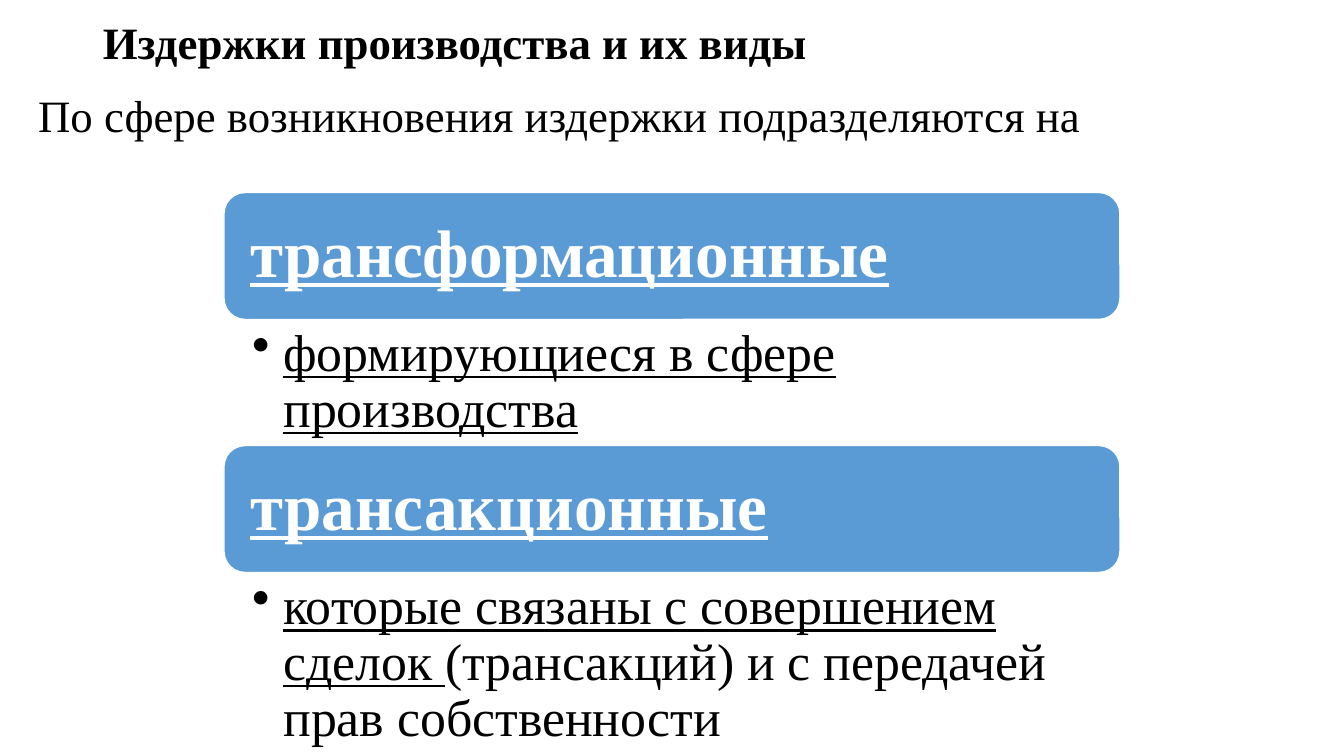
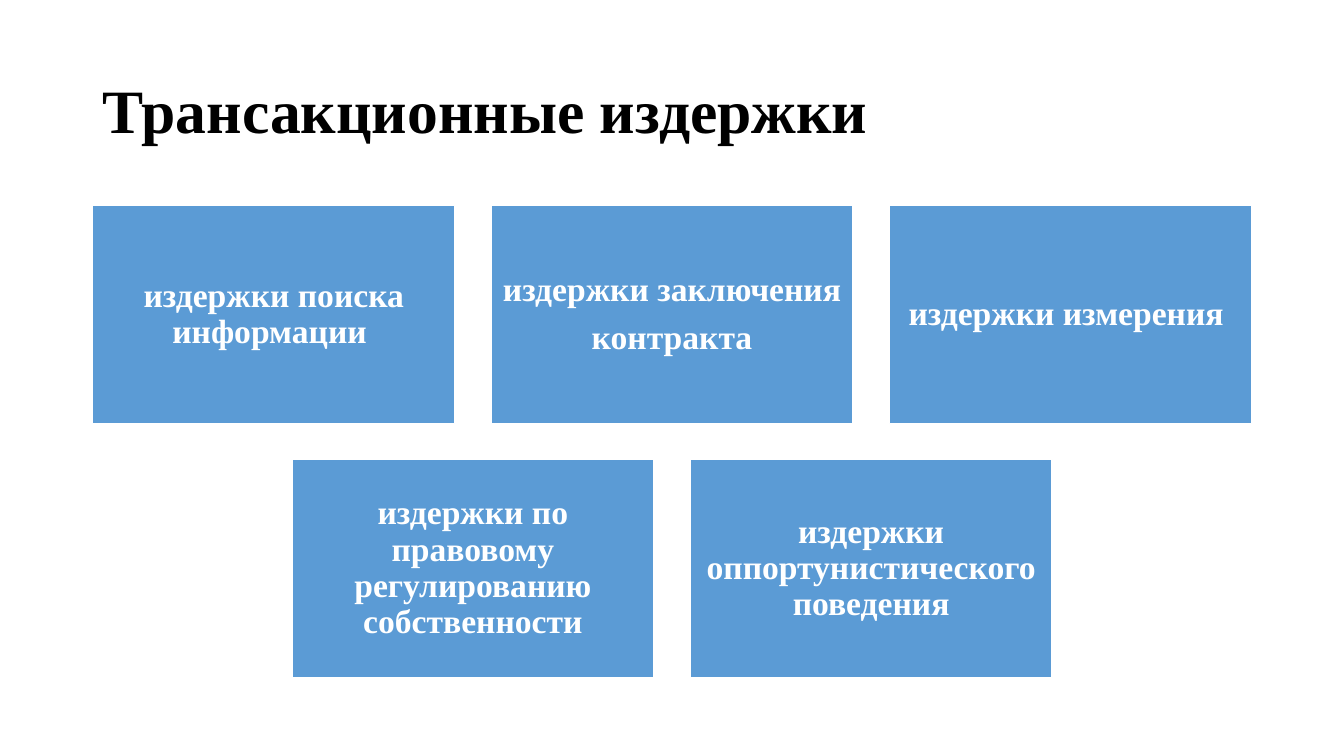
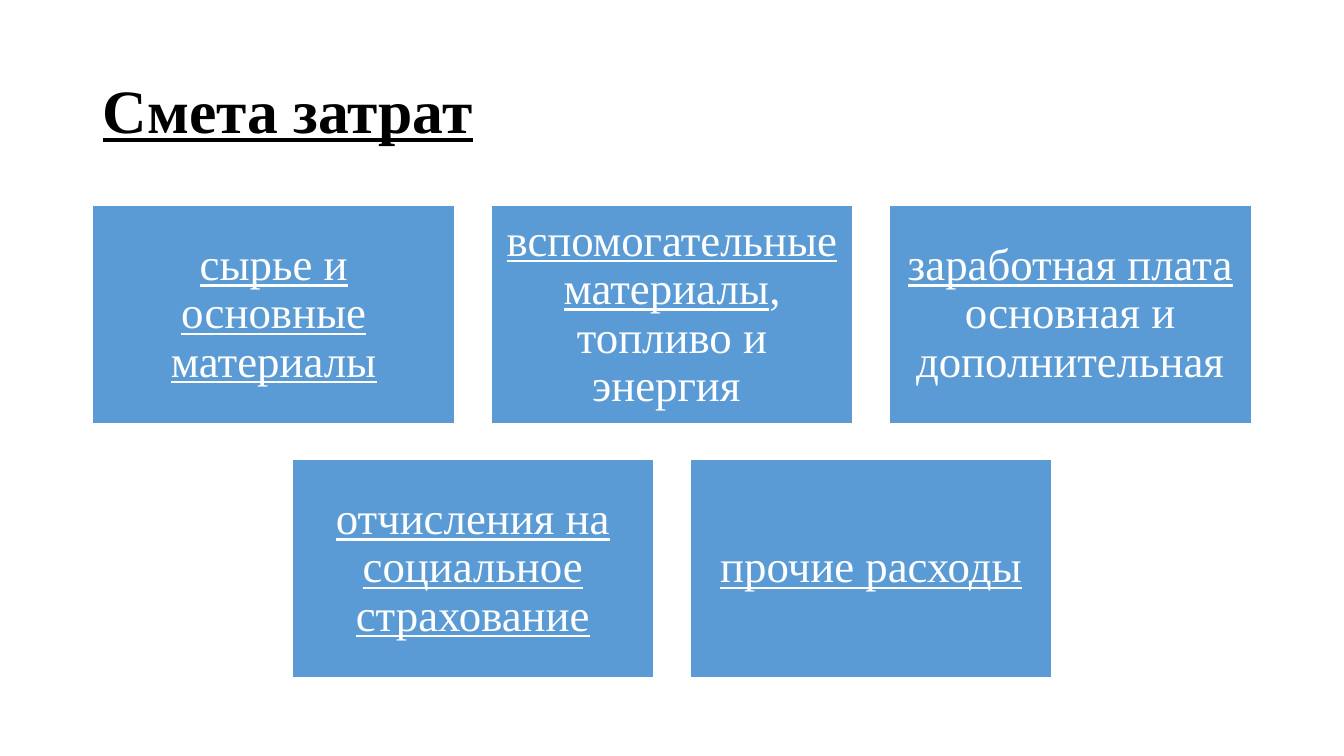
"""Builds three slides on production costs and their kinds."""
from lxml import etree
from pptx import Presentation
from pptx.dml.color import RGBColor
from pptx.enum.shapes import MSO_SHAPE
from pptx.enum.text import MSO_ANCHOR, PP_ALIGN
from pptx.oxml.ns import qn
from pptx.util import Inches, Pt

RECTANGLE, ROUNDED = MSO_SHAPE.RECTANGLE, MSO_SHAPE.ROUNDED_RECTANGLE
TOP, MIDDLE = MSO_ANCHOR.TOP, MSO_ANCHOR.MIDDLE
LEFT, CENTER, JUSTIFY = PP_ALIGN.LEFT, PP_ALIGN.CENTER, PP_ALIGN.JUSTIFY

COLORS = {"ink": "000000", "accent": "5B9BD5", "paper": "FFFFFF"}
FONT = "Times New Roman"
WIDTH, HEIGHT = 13.33, 7.5
COLUMN = WIDTH / 12
MARGIN = 0.92
CARD_WIDTH, CARD_HEIGHT, CARD_GAP, CARDS_TOP = 3.59, 2.16, 0.36, 2.04
BAND_HEIGHT, BAND_PITCH, BANDS_TOP = 1.26, 2.51, 1.91


class SlideBuilder:
    def __init__(self):
        self.deck = Presentation()
        self.deck.slide_width = Inches(WIDTH)
        self.deck.slide_height = Inches(HEIGHT)
        self.page = None

    def color(self, name):
        return RGBColor.from_string(COLORS[name])

    def fill_text(self, box, paragraphs, size, color="ink", bold=False, align=LEFT,
                  anchor=MIDDLE, insets=(0.1, 0.05, 0.1, 0.05), after=0):
        frame = box.text_frame
        frame.word_wrap = True
        frame.vertical_anchor = anchor
        (frame.margin_left, frame.margin_top,
         frame.margin_right, frame.margin_bottom) = map(Inches, insets)
        frame.text = "\n".join(spans[0][0] for spans in paragraphs)
        for para, spans in zip(frame.paragraphs, paragraphs):
            para.alignment = align
            para.line_spacing = 0.9
            para.space_before = Pt(0)
            para.space_after = Pt(after * size)
            for text, _ in spans[1:]:
                para.add_run().text = text
            for span, (_, underline) in zip(para.runs, spans):
                span.font.name = FONT
                span.font.size = Pt(size)
                span.font.bold = bold
                span.font.underline = underline
                span.font.color.rgb = self.color(color)

    def start(self, title, size=44, top=0.4, height=1.45, underline=False):
        self.page = self.deck.slides.add_slide(self.deck.slide_layouts[5])
        box = self.page.shapes.title
        box.left, box.top = Inches(MARGIN), Inches(top)
        box.width, box.height = Inches(WIDTH - 2 * MARGIN), Inches(height)
        self.fill_text(box, [[(title, underline)]], size, bold=True)

    def text(self, left, top, width, height, paragraphs, size, **style):
        box = self.page.shapes.add_textbox(*map(Inches, (left, top, width, height)))
        self.fill_text(box, paragraphs, size, anchor=TOP, **style)
        return box

    def panel(self, kind, left, top, width, height, paragraphs, size, **style):
        box = self.page.shapes.add_shape(kind, *map(Inches, (left, top, width, height)))
        box.shadow.inherit = False
        box.fill.solid()
        box.fill.fore_color.rgb = self.color("accent")
        box.line.color.rgb = self.color("paper")
        box.line.width = Pt(1)
        self.fill_text(box, paragraphs, size, color="paper", after=0.35, **style)

    def band(self, row, heading, spans, detail_height):
        left, width = 2 * COLUMN, 8 * COLUMN
        top = BANDS_TOP + row * BAND_PITCH
        self.panel(ROUNDED, left, top, width, BAND_HEIGHT, [[(heading, True)]], 48,
                   bold=True, insets=(0.2,) * 4)
        box = self.text(left, top + BAND_HEIGHT, width, detail_height, [spans], 37,
                        insets=(0.28, 0.07, 0.37, 0.07), after=0.2)
        for para in box.text_frame.paragraphs:
            properties = para._p.get_or_add_pPr()
            properties.set("marL", str(Inches(0.31)))
            properties.set("indent", str(-Inches(0.31)))
            etree.SubElement(properties, qn("a:buChar")).set("char", "•")

    def cards(self, rows, size, inset, bold=False):
        pitch = CARD_WIDTH + CARD_GAP
        for row, cards in enumerate(rows):
            left = (WIDTH - len(cards) * pitch + CARD_GAP) / 2
            top = CARDS_TOP + row * (CARD_HEIGHT + CARD_GAP)
            for column, paragraphs in enumerate(cards):
                self.panel(RECTANGLE, left + column * pitch, top, CARD_WIDTH,
                           CARD_HEIGHT, paragraphs, size, bold=bold,
                           align=CENTER, insets=(inset,) * 4)


def main():
    builder = SlideBuilder()

    builder.start("Издержки производства и их виды", size=32, top=0.12, height=0.66)
    builder.text(0.28, 0.88, 12.14, 0.7,
                 [[("По сфере возникновения издержки подразделяются на", False)]],
                 32, align=JUSTIFY)
    builder.band(0, "трансформационные",
                 [("формирующиеся в сфере производства", True)], 1.25)
    builder.band(1, "трансакционные",
                 [("которые связаны с совершением сделок ", True),
                  ("(трансакций) и с передачей прав собственности", False)], 1.79)

    builder.start("Трансакционные издержки")
    builder.cards([
        [[[("издержки поиска информации ", False)]],
         [[("издержки заключения", False)], [("контракта", False)]],
         [[("издержки измерения ", False)]]],
        [[[("издержки по правовому регулированию собственности", False)]],
         [[("издержки оппортунистического поведения", False)]]],
    ], size=24, inset=0.1, bold=True)

    builder.start("Смета затрат", underline=True)
    builder.cards([
        [[[("сырье и основные материалы", True)]],
         [[("вспомогательные материалы", True), (", топливо и энергия ", False)]],
         [[("заработная плата ", True), ("основная и дополнительная", False)]]],
        [[[("отчисления на социальное страхование", True)]],
         [[("прочие расходы", True)]]],
    ], size=32, inset=0.13)

    builder.deck.save("out.pptx")


if __name__ == "__main__":
    main()
